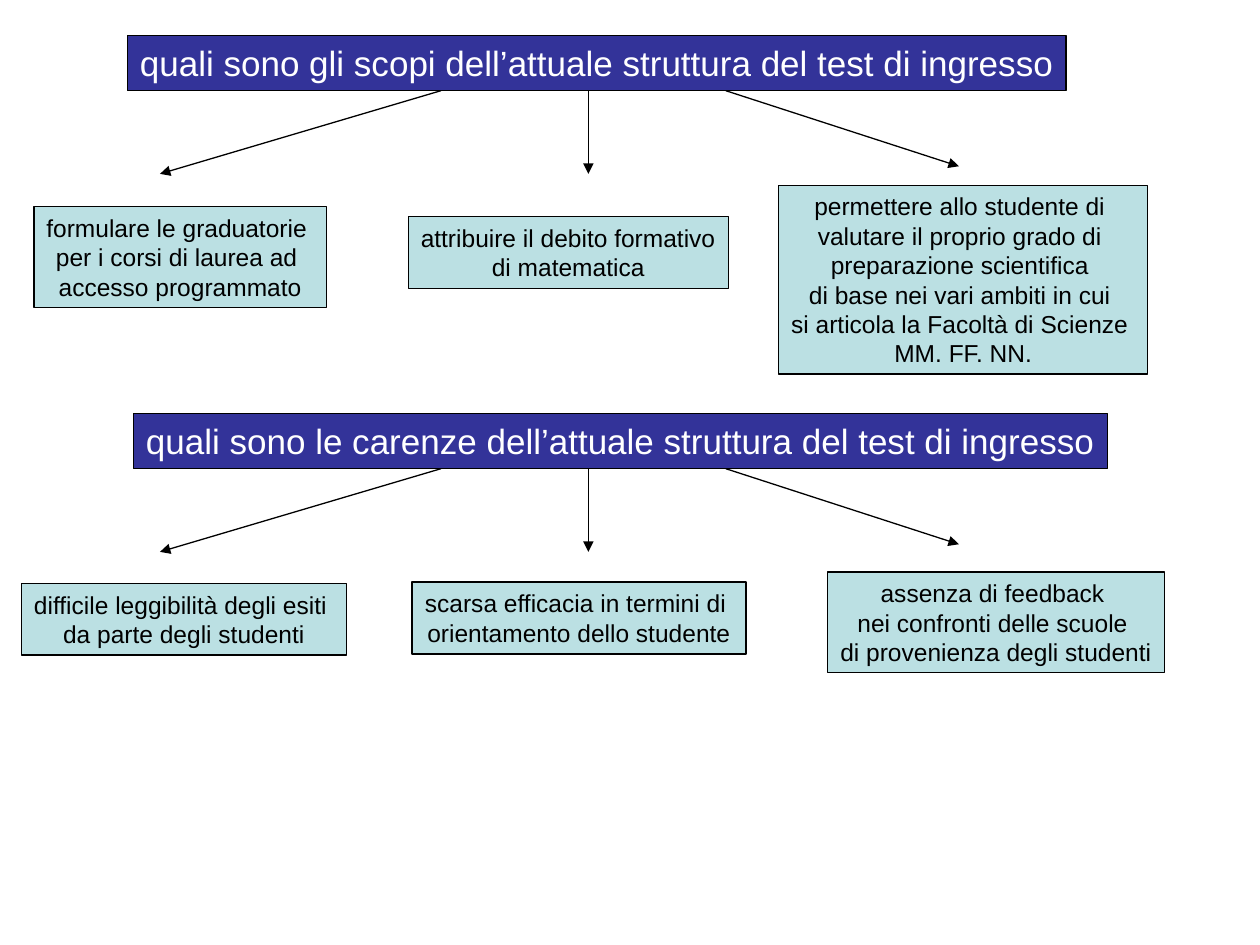
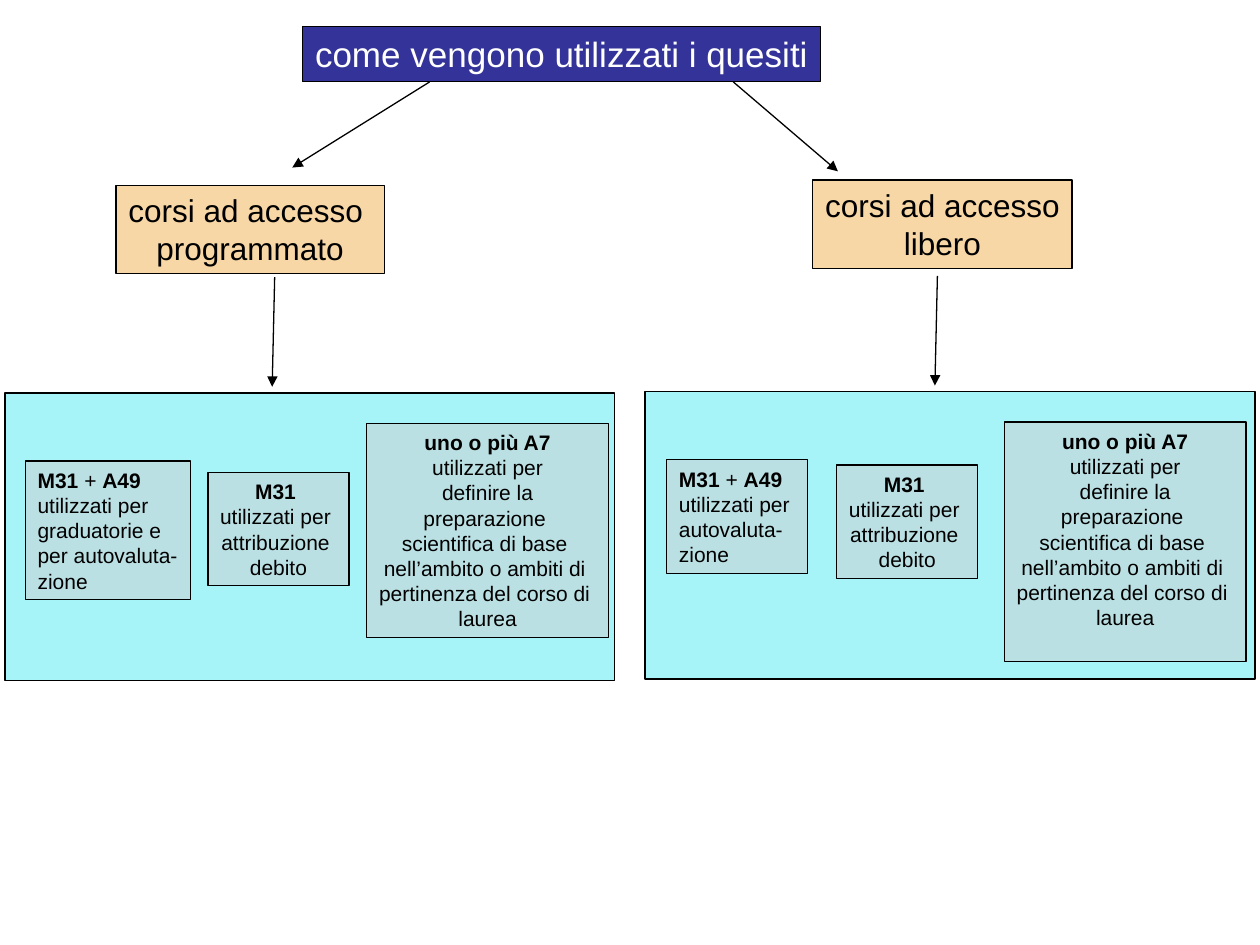
from lxml.etree import SubElement
from pptx import Presentation
from pptx.dml.color import RGBColor
from pptx.enum.shapes import MSO_CONNECTOR, MSO_SHAPE
from pptx.enum.text import MSO_ANCHOR, MSO_AUTO_SIZE, PP_ALIGN
from pptx.oxml.ns import qn
from pptx.util import Inches, Pt

BLACK = RGBColor(0x00, 0x00, 0x00)
WHITE = RGBColor(0xFF, 0xFF, 0xFF)
INDIGO = RGBColor(0x33, 0x33, 0x99)
PALE_TEAL = RGBColor(0xBB, 0xE0, 0xE3)
CYAN = RGBColor(0xA6, 0xF4, 0xF8)
PEACH = RGBColor(0xF8, 0xD7, 0xA6)
FONT = "Arial"
LINE_WIDTH = Pt(0.75)

deck = Presentation()
deck.slide_width = Inches(10)
deck.slide_height = Inches(7.5)
COLUMN = deck.slide_width / 100
ROW = deck.slide_height / 75
BANNER_HEIGHT = 4.4


def fill_box(box, area, fill, lines=(), size=14, color=BLACK, align=PP_ALIGN.CENTER):
    left, top, width, height = area
    box.left, box.width = int(left * COLUMN), int(width * COLUMN)
    box.top, box.height = int(top * ROW), int(height * ROW)
    box.shadow.inherit = False
    box.fill.solid()
    box.fill.fore_color.rgb = fill
    box.line.color.rgb = BLACK
    box.line.width = LINE_WIDTH
    frame = box.text_frame
    frame.word_wrap = False
    frame.auto_size = MSO_AUTO_SIZE.NONE
    frame.vertical_anchor = MSO_ANCHOR.TOP
    if box.is_placeholder:
        frame.margin_right = 0
    frame.text = "\n".join(lines)
    for para in frame.paragraphs:
        pieces = para.text.split("*")
        para.clear()
        para.alignment = align
        for index, piece in enumerate(pieces):
            if piece:
                span = para.add_run()
                span.text = piece
                span.font.name = FONT
                span.font.size = Pt(size)
                span.font.color.rgb = color
                span.font.bold = index % 2 == 1


def draw_arrow(page, start, end):
    arrow = page.shapes.add_connector(
        MSO_CONNECTOR.STRAIGHT,
        int(start[0] * COLUMN), int(start[1] * ROW),
        int(end[0] * COLUMN), int(end[1] * ROW),
    )
    arrow.line.color.rgb = BLACK
    arrow.line.width = LINE_WIDTH
    SubElement(arrow.line._get_or_add_ln(), qn("a:tailEnd"), type="triangle")
    SubElement(arrow._element.spPr, qn("a:effectLst"))


topics = [
    (
        "quali sono gli scopi dell’attuale struttura del test di ingresso",
        (10.1, 2.8, 74.5, BANNER_HEIGHT),
        [
            ((2.7, 16.4, 23.2, 8),
             ["formulare le graduatorie ", "per i corsi di laurea ad ", "accesso programmato"]),
            ((32.4, 17.2, 25.4, 5.7),
             ["attribuire il debito formativo", "di matematica"]),
            ((61.8, 14.7, 29.3, 15),
             ["permettere allo studente di ", "valutare il proprio grado di ",
              "preparazione scientifica ", "di base nei vari ambiti in cui ",
              "si articola la Facoltà di Scienze ", "MM. FF. NN."]),
        ],
    ),
    (
        "quali sono le carenze dell’attuale struttura del test di ingresso",
        (10.6, 32.8, 77.3, BANNER_HEIGHT),
        [
            ((1.7, 46.3, 25.8, 5.7),
             ["difficile leggibilità degli esiti ", "da parte degli studenti"]),
            ((32.7, 46.2, 26.5, 5.7),
             ["scarsa efficacia in termini di ", "orientamento dello studente"]),
            ((65.7, 45.4, 26.7, 8),
             ["assenza di feedback ", "nei confronti delle scuole ",
              "di provenienza degli studenti"]),
        ],
    ),
]
fan = [(35, 12.7, 6.6), (46.7, 46.7, 6.6), (57.6, 76.1, 6)]

page = deck.slides.add_slide(deck.slide_layouts[5])
for number, (question, area, answers) in enumerate(topics):
    banner = page.shapes.add_shape(MSO_SHAPE.RECTANGLE, 0, 0, 0, 0) if number else page.shapes.title
    fill_box(banner, area, INDIGO, [question], 20, WHITE, PP_ALIGN.LEFT)
    bottom = area[1] + BANNER_HEIGHT
    for start, end, drop in fan:
        draw_arrow(page, (start, bottom), (end, bottom + drop))
    for answer_area, lines in answers:
        fill_box(page.shapes.add_shape(MSO_SHAPE.RECTANGLE, 0, 0, 0, 0),
                 answer_area, PALE_TEAL, lines)

debt = ["*M31 *", "utilizzati per ", "attribuzione ", "debito"]
background = ["*uno o più A7*", "utilizzati per", "definire la", "preparazione ",
              "scientifica di base ", "nell’ambito o ambiti di ",
              "pertinenza del corso di ", "laurea"]
ranking = ["*M31* + *A49*", "utilizzati per", "graduatorie e", "per autovaluta-", "zione"]
self_check = ["*M31* + *A49*", "utilizzati per", "autovaluta-", "zione"]

courses = [
    {
        "name": ((9.2, 14.7, 21.3, 7), ["corsi ad accesso ", "programmato"]),
        "panel": (0.4, 31.2, 48.4, 22.8),
        "arrows": [((34.1, 6.5), (23.2, 13.3)), ((21.8, 22), (21.6, 30.7))],
        "uses": [
            ((2, 36.6, 13.1, 11), ranking, PP_ALIGN.LEFT),
            ((16.5, 37.5, 11.2, 9), debt, PP_ALIGN.CENTER),
            ((29.1, 33.6, 19.2, 17), background, PP_ALIGN.CENTER),
        ],
    },
    {
        "name": ((64.5, 14.3, 20.6, 7), ["corsi ad accesso", "libero"]),
        "panel": (51.2, 31.1, 48.4, 22.8),
        "arrows": [((58.2, 6.5), (66.5, 13.6)), ((74.4, 21.9), (74.2, 30.6))],
        "uses": [
            ((52.9, 36.5, 11.2, 9), self_check, PP_ALIGN.LEFT),
            ((66.4, 36.9, 11.2, 9), debt, PP_ALIGN.CENTER),
            ((79.7, 33.5, 19.2, 19), background, PP_ALIGN.CENTER),
        ],
    },
]

page = deck.slides.add_slide(deck.slide_layouts[5])
fill_box(page.shapes.title, (24, 2.1, 41.1, BANNER_HEIGHT), INDIGO,
         ["come vengono utilizzati i quesiti"], 20, WHITE, PP_ALIGN.LEFT)
for course in courses:
    panel = page.shapes.add_shape(MSO_SHAPE.RECTANGLE, 0, 0, 0, 0)
    fill_box(panel, course["panel"], CYAN)
    name_area, name_lines = course["name"]
    name_box = page.shapes.add_shape(MSO_SHAPE.RECTANGLE, 0, 0, 0, 0)
    fill_box(name_box, name_area, PEACH, name_lines, 18)
    for start, end in course["arrows"]:
        draw_arrow(page, start, end)
    for use_area, lines, align in course["uses"]:
        use_box = page.shapes.add_shape(MSO_SHAPE.RECTANGLE, 0, 0, 0, 0)
        fill_box(use_box, use_area, PALE_TEAL, lines, 12, BLACK, align)

deck.save("out.pptx")
